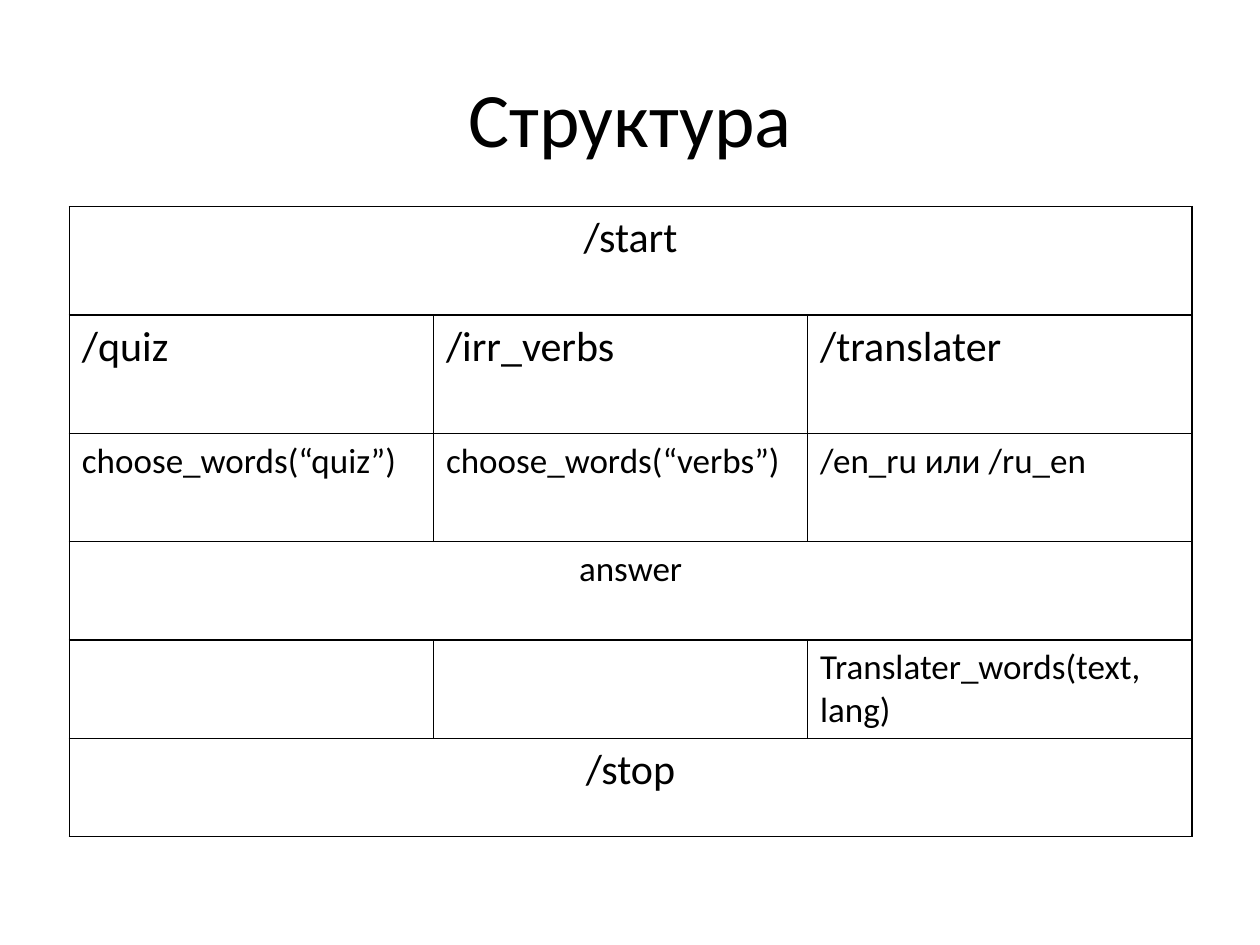
import pptx
import pptx.dml.color
import pptx.enum.text
import pptx.oxml
import pptx.oxml.ns
import pptx.util
from pptx.util import Inches

BLACK = pptx.dml.color.RGBColor(0x00, 0x00, 0x00)
FONT = "Calibri"
CENTER = pptx.enum.text.PP_ALIGN.CENTER
LEFT = pptx.enum.text.PP_ALIGN.LEFT

COLUMN_WIDTHS = (2.89, 2.97, 3.05)
# Row height, text size, cell texts; a single text spans the whole row.
COMMAND_ROWS = (
    (0.86, 24, ["/start"]),
    (0.94, 24, ["/quiz", "/irr_verbs", "/translater"]),
    (0.86, 20, ["choose_words(“quiz”)", "choose_words(“verbs”)", "/en_ru или /ru_en"]),
    (0.78, 20, ["answer"]),
    (0.78, 20, ["", "", "Translater_words(text, lang)"]),
    (0.78, 24, ["/stop"]),
)


def format_font(font, size):
    for name, value in {"name": FONT, "size": pptx.util.Pt(size), "bold": False}.items():
        setattr(font, name, value)
    font.color.rgb = BLACK


def write_line(frame, text, size, alignment):
    para = frame.paragraphs[0]
    para.alignment = alignment
    if text:
        span = para.add_run()
        span.text = text
        format_font(span.font, size)
    else:
        format_font(para.font, size)


def add_borders(cell):
    """Draw a one-point line on all four sides of the cell."""
    properties = cell._tc.get_or_add_tcPr()
    for position, side in enumerate(("lnL", "lnR", "lnT", "lnB")):
        line = pptx.oxml.parse_xml(
            f'<a:{side} {pptx.oxml.ns.nsdecls("a")} w="{pptx.util.Pt(1)}">'
            f'<a:solidFill><a:srgbClr val="{BLACK}"/></a:solidFill></a:{side}>'
        )
        properties.insert(position, line)


def place_title(page, left, top, width, height):
    title = page.shapes.title
    box = {"left": left, "top": top, "width": width, "height": height}
    for name, value in box.items():
        setattr(title, name, Inches(value))
    title.text_frame.vertical_anchor = pptx.enum.text.MSO_ANCHOR.MIDDLE
    write_line(title.text_frame, "Структура", 44, CENTER)


def add_command_table(page, left, top, width, height):
    frame = page.shapes.add_table(
        len(COMMAND_ROWS), len(COLUMN_WIDTHS),
        Inches(left), Inches(top), Inches(width), Inches(height),
    )
    table = frame.table
    table.first_row = table.horz_banding = False
    for column, share in zip(table.columns, COLUMN_WIDTHS):
        column.width = Inches(width * share / sum(COLUMN_WIDTHS))
    total_height = sum(row[0] for row in COMMAND_ROWS)

    for index, (share, size, texts) in enumerate(COMMAND_ROWS):
        row = table.rows[index]
        row.height = Inches(height * share / total_height)
        for cell in row.cells:
            cell.fill.background()
            add_borders(cell)
        spans_row = len(texts) == 1
        if spans_row:
            row.cells[0].merge(row.cells[len(COLUMN_WIDTHS) - 1])
        for cell, text in zip(row.cells, texts):
            write_line(cell.text_frame, text, size, CENTER if spans_row else LEFT)


def main():
    deck = pptx.Presentation()
    deck.slide_width, deck.slide_height = Inches(10), Inches(7.5)
    page = deck.slides.add_slide(deck.slide_layouts[5])
    place_title(page, 0.5, 0.3, 9, 1.25)
    add_command_table(page, 0.55, 1.64, 8.91, 5)
    deck.save("out.pptx")


if __name__ == "__main__":
    main()
